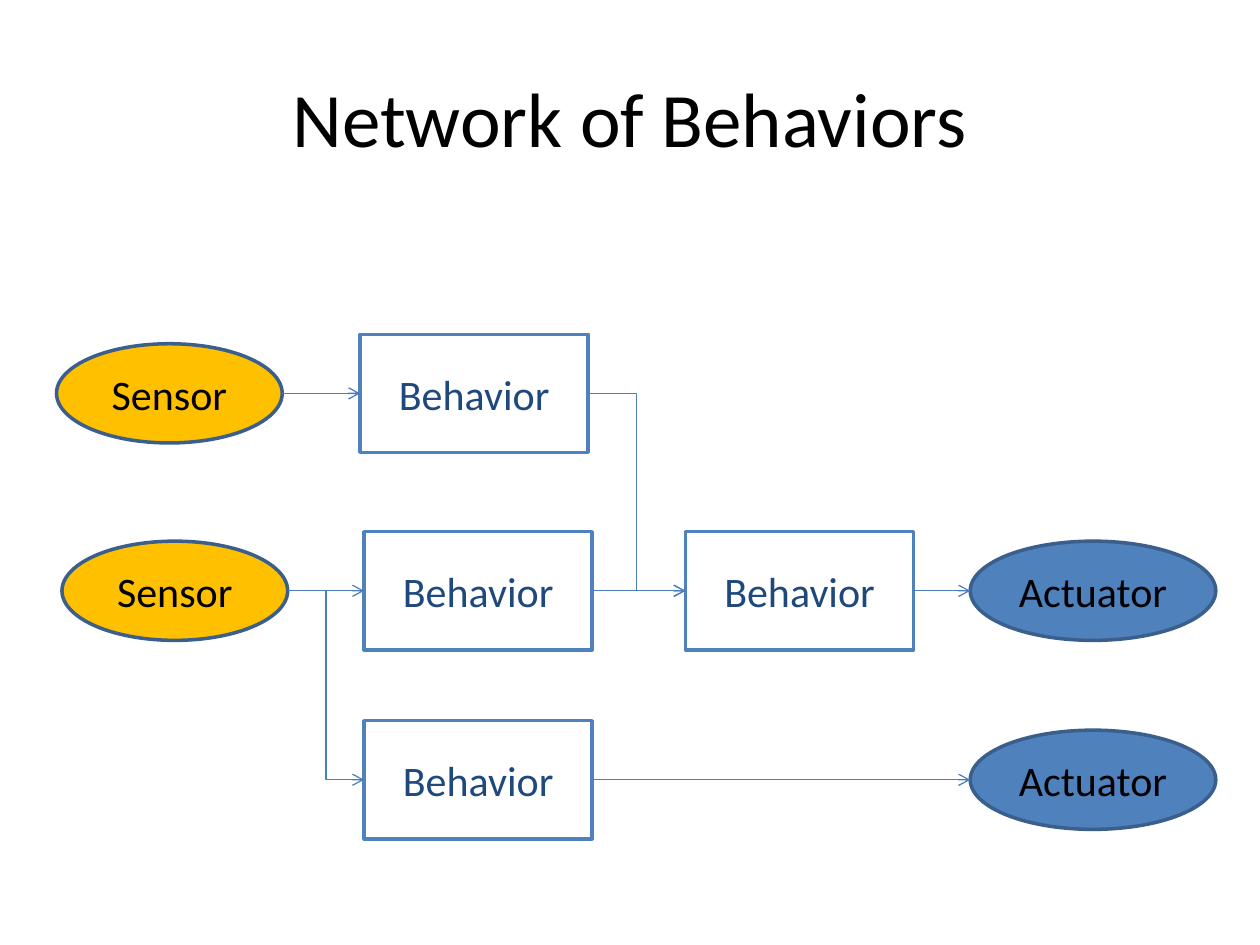
"""Build a slide that shows a network of behaviors from sensors to actuators."""
from lxml.etree import SubElement
from pptx import Presentation
from pptx.dml.color import RGBColor
from pptx.enum.shapes import MSO_CONNECTOR, MSO_SHAPE
from pptx.enum.text import MSO_ANCHOR, PP_ALIGN
from pptx.oxml.ns import qn
from pptx.util import Cm, Pt

WHITE = RGBColor(0xFF, 0xFF, 0xFF)
BLACK = RGBColor(0x00, 0x00, 0x00)
BLUE = RGBColor(0x4F, 0x81, 0xBD)
NAVY = RGBColor(0x1F, 0x49, 0x7D)
STEEL = RGBColor(0x3A, 0x5F, 0x8C)
GOLD = RGBColor(0xFF, 0xC0, 0x00)
WIRE = RGBColor(0x4B, 0x7E, 0xBC)

TOP, MID, LOW = 7.93, 11.91, 15.72
RECT, OVAL = MSO_SHAPE.RECTANGLE, MSO_SHAPE.OVAL
LEFT_SITE = {RECT: 1, OVAL: 2}
RIGHT_SITE = {RECT: 3, OVAL: 6}


def put_text(shape, text, size, color):
    frame = shape.text_frame
    frame.word_wrap = True
    frame.vertical_anchor = MSO_ANCHOR.MIDDLE
    line = frame.paragraphs[0]
    line.text = text
    line.alignment = PP_ALIGN.CENTER
    line.font.name = "Calibri"
    line.font.size = Pt(size)
    line.font.color.rgb = color


def add_title(slide, text):
    box = slide.shapes.add_textbox(Cm(1.27), Cm(0.76), Cm(22.86), Cm(3.18))
    put_text(box, text, 44, BLACK)


def add_node(slide, kind, text, left, row, width, height, fill, edge, ink):
    node = slide.shapes.add_shape(
        kind, Cm(left), Cm(row - height / 2), Cm(width), Cm(height))
    node.shadow.inherit = False
    node.fill.solid()
    node.fill.fore_color.rgb = fill
    node.line.color.rgb = edge
    node.line.width = Pt(2)
    put_text(node, text, 24, ink)
    return node


def add_sensor(slide, left, row):
    return add_node(slide, OVAL, "Sensor", left, row, 4.55, 2,
                    GOLD, STEEL, BLACK)


def add_behavior(slide, left, row):
    return add_node(slide, RECT, "Behavior", left, row, 4.6, 2.38,
                    WHITE, BLUE, NAVY)


def add_actuator(slide, left, row):
    return add_node(slide, OVAL, "Actuator", left, row, 4.95, 2,
                    BLUE, STEEL, BLACK)


def add_arrow(slide, start, end, kind=MSO_CONNECTOR.STRAIGHT):
    arrow = slide.shapes.add_connector(
        kind, start.left + start.width, start.top + start.height // 2,
        end.left, end.top + end.height // 2)
    arrow.line.color.rgb = WIRE
    arrow.line.width = Pt(0.75)
    props = arrow._element.spPr
    SubElement(props.find(qn("a:ln")), qn("a:tailEnd"), type="arrow")
    SubElement(props, qn("a:effectLst"))
    links = arrow._element.nvCxnSpPr.cNvCxnSpPr
    for tag, node, sites in (("a:stCxn", start, RIGHT_SITE),
                             ("a:endCxn", end, LEFT_SITE)):
        SubElement(links, qn(tag), id=str(node.shape_id),
                   idx=str(sites[node.auto_shape_type]))


def main():
    deck = Presentation()
    deck.slide_width, deck.slide_height = Cm(25.4), Cm(19.05)
    slide = deck.slides.add_slide(deck.slide_layouts[6])
    add_title(slide, "Network of Behaviors")

    eye = add_sensor(slide, 1.14, TOP)
    ear = add_sensor(slide, 1.25, MID)
    first = add_behavior(slide, 7.26, TOP)
    second = add_behavior(slide, 7.34, MID)
    third = add_behavior(slide, 7.34, LOW)
    merge = add_behavior(slide, 13.82, MID)
    motor = add_actuator(slide, 19.56, MID)
    lower = add_actuator(slide, 19.56, LOW)

    for start, end in ((eye, first), (ear, second), (second, merge),
                       (merge, motor), (third, lower)):
        add_arrow(slide, start, end)
    for start, end in ((first, merge), (ear, third)):
        add_arrow(slide, start, end, MSO_CONNECTOR.ELBOW)
    deck.save("out.pptx")


main()
